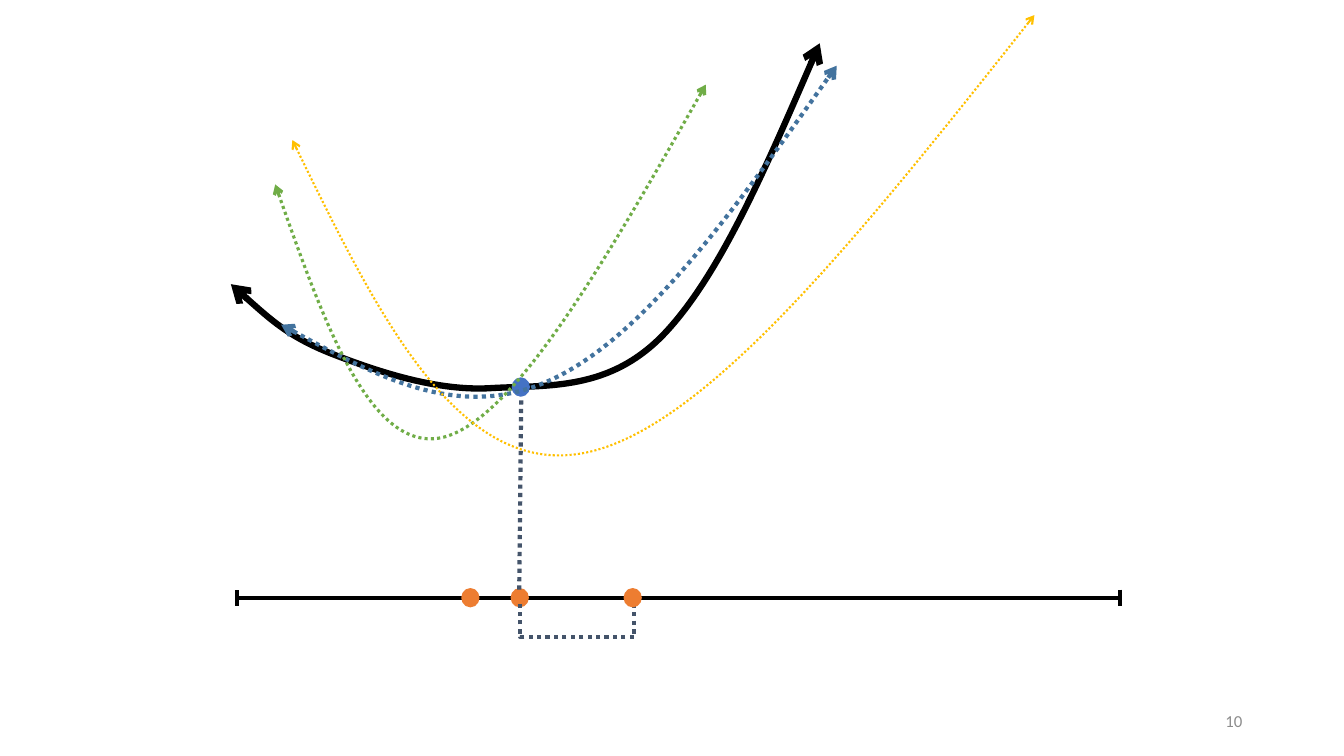
from dataclasses import dataclass
from math import cos, radians, sin

from lxml.etree import SubElement
from pptx import Presentation
from pptx.dml.color import RGBColor
from pptx.dml.line import LineFormat
from pptx.enum.dml import MSO_LINE
from pptx.enum.shapes import MSO_CONNECTOR, MSO_SHAPE
from pptx.enum.text import MSO_ANCHOR, PP_ALIGN
from pptx.oxml.ns import qn
from pptx.shapes.autoshape import Shape
from pptx.util import Emu, Pt

SCALE = 9144
BLACK, SLATE, ORANGE, BLUE = "000000", "44546A", "ED7D31", "4472C4"
AXIS = 593
Point = tuple[int, int]


@dataclass
class Pen:
    color: str
    width: float
    dotted: bool = False


@dataclass
class Dot:
    left: int
    top: int
    color: str


@dataclass
class Curve:
    pen: Pen
    points: list[Point]
    floor: int
    turn: float = 0
    pivot: Point = (0, 0)


@dataclass
class Bracket:
    kind: MSO_SHAPE
    box: tuple[int, int, int, int]
    pen: Pen
    turn: float = 0


def px(count: float) -> Emu:
    return Emu(round(count * SCALE))


def rgb(color: str) -> RGBColor:
    return RGBColor.from_string(color)


def ink(line: LineFormat, pen: Pen) -> None:
    line.color.rgb = rgb(pen.color)
    line.width = Pt(pen.width)
    if pen.dotted:
        line.dash_style = MSO_LINE.ROUND_DOT


def draw_line(start: Point, end: Point, pen: Pen) -> None:
    line = shapes.add_connector(MSO_CONNECTOR.STRAIGHT, *map(px, start + end))
    ink(line.line, pen)
    SubElement(line._element.spPr, qn("a:effectLst"))


def draw_dot(dot: Dot) -> None:
    shape = shapes.add_shape(
        MSO_SHAPE.OVAL, px(dot.left), px(dot.top), px(15), px(16))
    shape.shadow.inherit = False
    shape.fill.solid()
    shape.fill.fore_color.rgb = rgb(dot.color)
    ink(shape.line, Pen(dot.color, 2.25))


def draw_bracket(bracket: Bracket) -> None:
    shape = shapes.add_shape(bracket.kind, *map(px, bracket.box))
    shape.shadow.inherit = False
    shape.adjustments[0] = 0
    shape.rotation = bracket.turn
    shape.fill.background()
    ink(shape.line, bracket.pen)


def unturn(point: Point, curve: Curve) -> tuple[Emu, Emu]:
    angle = radians(-curve.turn)
    mid_x, mid_y = curve.pivot
    dx, dy = point[0] - mid_x, point[1] - mid_y
    return (px(mid_x + dx * cos(angle) - dy * sin(angle)),
            px(mid_y + dx * sin(angle) + dy * cos(angle)))


def bend(shape: Shape, height: Emu) -> None:
    track = next(shape._element.iter(qn("a:path")))
    track.set("h", str(height))
    shape.height = height
    spots = [step[0] for step in track.findall(qn("a:lnTo"))]
    for step in track.findall(qn("a:lnTo")):
        track.remove(step)
    for first in range(0, len(spots), 3):
        SubElement(track, qn("a:cubicBezTo")).extend(spots[first:first + 3])


def draw_curve(curve: Curve) -> None:
    start, *rest = [unturn(point, curve) for point in curve.points]
    builder = shapes.build_freeform(*start, scale=1.0)
    builder.add_line_segments(rest, close=False)
    shape = builder.convert_to_shape()
    bend(shape, Emu(px(curve.floor) - shape.top))
    shape.rotation = curve.turn
    shape.shadow.inherit = False
    shape.fill.background()
    ink(shape.line, curve.pen)
    stroke = shape.line._get_or_add_ln()
    for end in ("a:headEnd", "a:tailEnd"):
        SubElement(stroke, qn(end), type="arrow")


def draw_number(text: str) -> None:
    box = shapes.add_textbox(px(942), px(695), px(300), px(40))
    frame = box.text_frame
    frame.word_wrap = True
    frame.vertical_anchor = MSO_ANCHOR.MIDDLE
    line = frame.paragraphs[0]
    line.text = text
    line.alignment = PP_ALIGN.RIGHT
    line.font.name = "Calibri"
    line.font.size = Pt(12)
    line.font.color.rgb = rgb("8C8C8C")


SOLID = Pen(BLACK, 3)
GUIDE = Pen(SLATE, 3, True)
RANGE = Bracket(MSO_SHAPE.DOUBLE_BRACKET, (235, 585, 876, 16), SOLID)
STEP = Bracket(MSO_SHAPE.RIGHT_BRACKET, (556, 559, 33, 113), GUIDE, 90)
TARGET = Curve(Pen(BLACK, 4.5), [
    (229, 282), (258, 308), (286, 334), (329, 351), (373, 368),
    (434, 389), (489, 385), (544, 382), (605, 388), (659, 331),
    (713, 274), (763, 159), (813, 43)], 386)
FITS = [
    Curve(Pen("43739E", 3, True), [
        (279, 322), (368, 370), (457, 419), (548, 376),
        (640, 333), (735, 199), (830, 65)], 359, -19.8, (578, 260)),
    Curve(Pen("70AD47", 2.25, True), [
        (273, 183), (320, 317), (368, 450), (439, 434),
        (510, 417), (605, 251), (700, 84)], 435),
    Curve(Pen("FFC000", 1.5, True), [
        (290, 139), (371, 305), (453, 471), (576, 450),
        (698, 430), (862, 222), (1026, 15)], 452),
]

deck = Presentation()
deck.slide_width, deck.slide_height = px(1333), px(750)
shapes = deck.slides.add_slide(deck.slide_layouts[6]).shapes

draw_line((235, AXIS), (1112, AXIS), SOLID)
draw_bracket(RANGE)
draw_dot(Dot(508, AXIS - 8, ORANGE))
draw_curve(TARGET)
draw_line((515, 585), (517, 392), GUIDE)
draw_dot(Dot(509, 376, BLUE))
draw_bracket(STEP)
for left in (459, 620):
    draw_dot(Dot(left, AXIS - 8, ORANGE))
for fit in FITS:
    draw_curve(fit)
draw_number("10")
deck.save("out.pptx")
